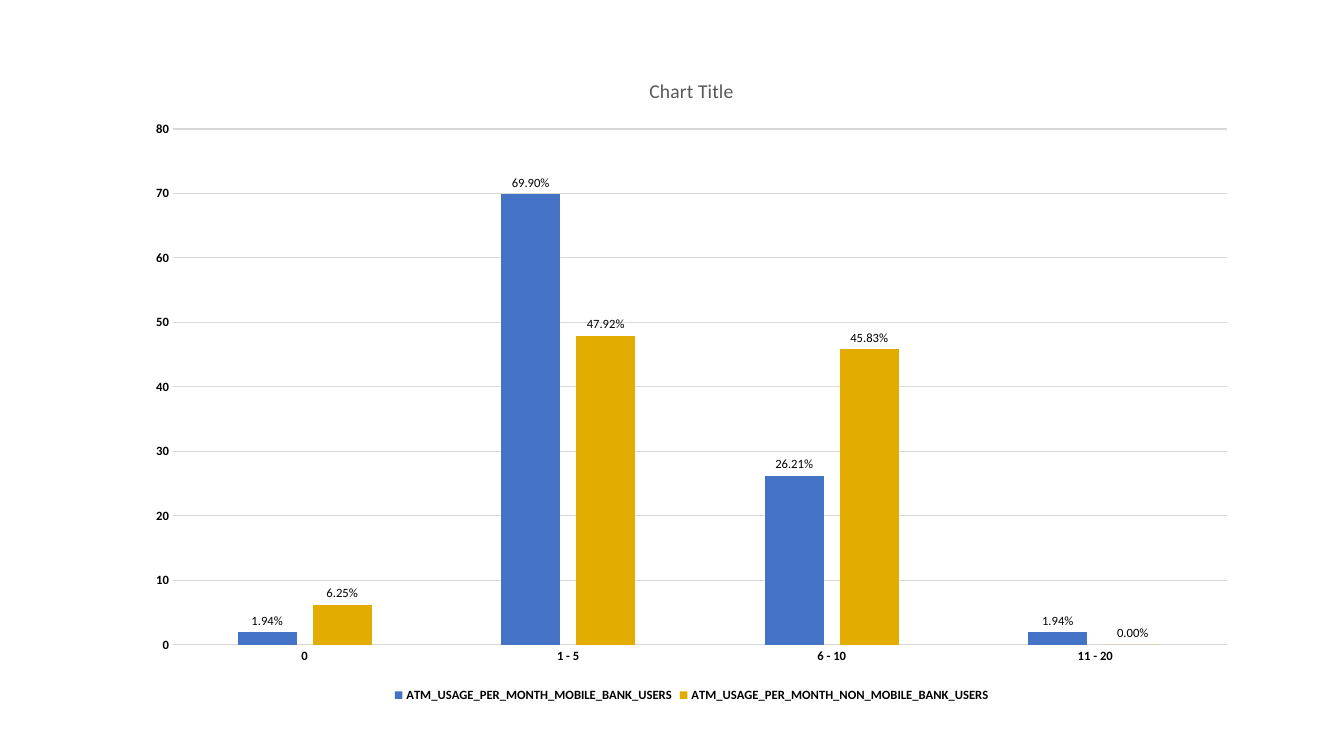
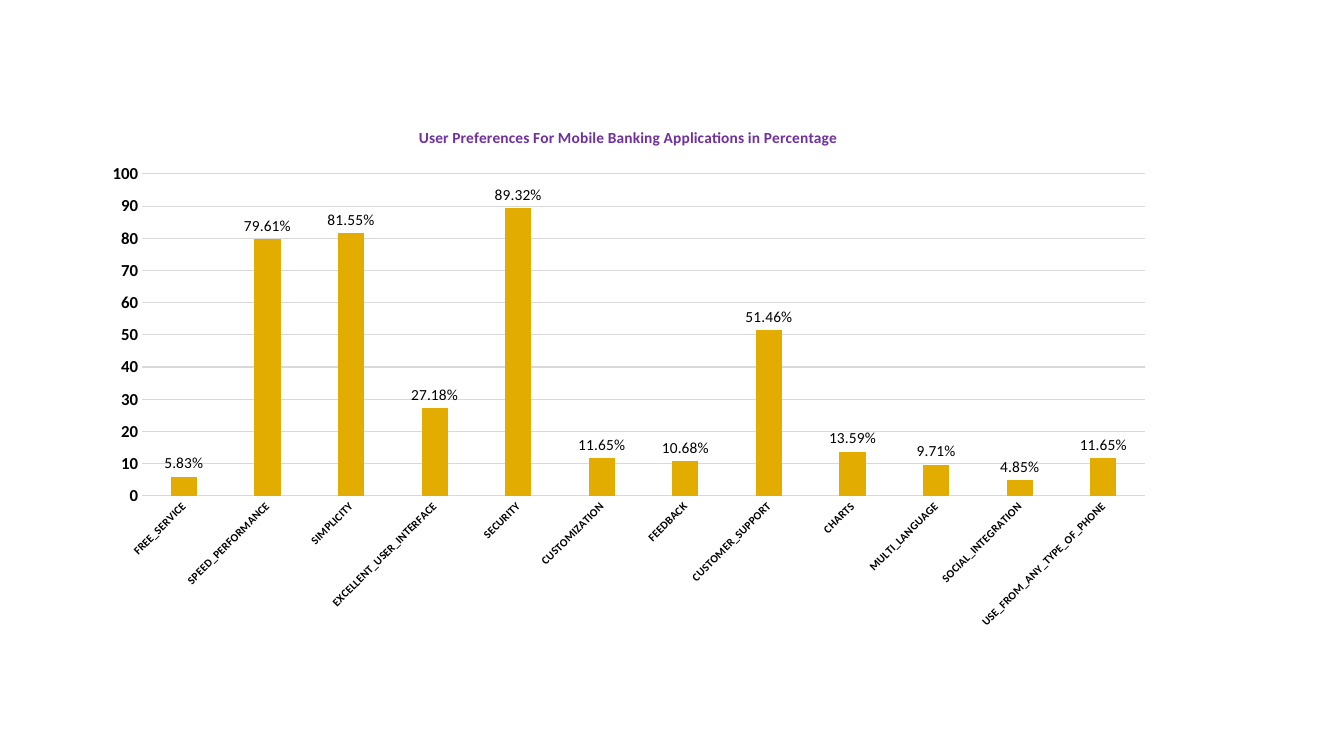
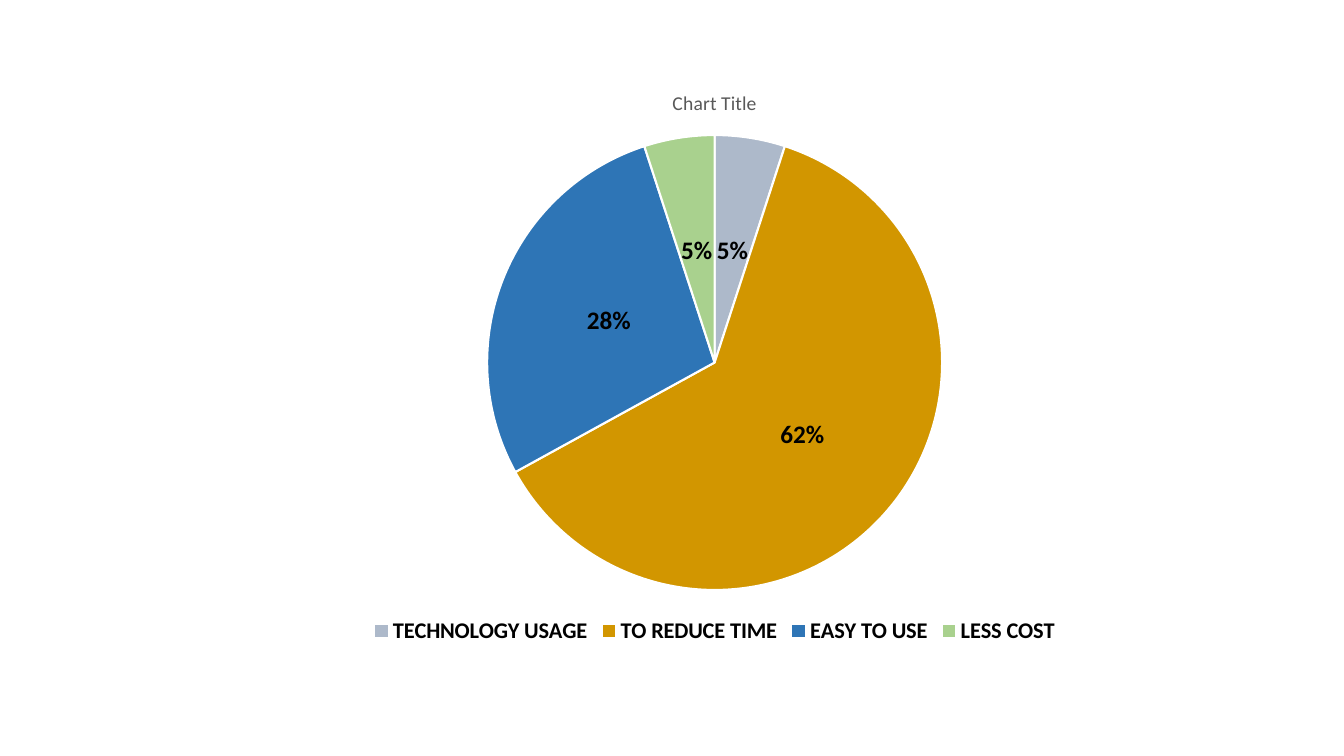
from lxml import etree
from pptx import Presentation
from pptx.chart.data import CategoryChartData
from pptx.dml.color import RGBColor
from pptx.enum.chart import XL_CHART_TYPE, XL_LABEL_POSITION, XL_LEGEND_POSITION, XL_TICK_MARK
from pptx.oxml.ns import qn
from pptx.util import Pt

COLUMNS, PIE = XL_CHART_TYPE.COLUMN_CLUSTERED, XL_CHART_TYPE.PIE
OUTSIDE, CENTER = XL_LABEL_POSITION.OUTSIDE_END, XL_LABEL_POSITION.CENTER
LEGEND_BOTTOM = XL_LEGEND_POSITION.BOTTOM
NO_TICK = XL_TICK_MARK.NONE

FONT = "Calibri"
COLORS = {
    "text": "000000", "title": "595959", "purple": "7030A0", "grid": "D9D9D9",
    "blue": "4472C4", "gold": "E2AC00", "white": "FFFFFF", "grey": "ADB9CA",
    "amber": "D29600", "deep blue": "2E75B6", "green": "A9D18E",
}

ATM_USAGE = {
    "type": COLUMNS, "frame": (95.76, 39.6, 796.32, 465.12), "plot": (123.5, 92.2, 753, 368.5),
    "title": ("Chart Title", 14, "title", False),
    "categories": ["0", "1 - 5", "6 - 10", "11 - 20"],
    "series": [
        ("ATM_USAGE_PER_MONTH_MOBILE_BANK_USERS", [1.94, 69.9, 26.21, 1.94], "blue"),
        ("ATM_USAGE_PER_MONTH_NON_MOBILE_BANK_USERS", [6.25, 47.92, 45.83, 0], "gold"),
    ],
    "labels": (9, False, '0.00"%"', OUTSIDE), "legend": 9,
    "category size": 9, "value size": 9, "maximum": 80, "rotation": 0,
}
PREFERENCES = {
    "type": COLUMNS, "frame": (64.8, 77.04, 768.24, 379.44), "plot": (101.5, 124.2, 716.5, 230),
    "title": ("User Preferences For Mobile Banking Applications in Percentage", 11, "purple", True),
    "categories": [
        "FREE_SERVICE", "SPEED_PERFORMANCE", "SIMPLICITY", "EXCELLENT_USER_INTERFACE",
        "SECURITY", "CUSTOMIZATION", "FEEDBACK", "CUSTOMER_SUPPORT", "CHARTS",
        "MULTI_LANGUAGE", "SOCIAL_INTEGRATION", "USE_FROM_ANY_TYPE_OF_PHONE",
    ],
    "series": [
        ("Series 1", [5.83, 79.61, 81.55, 27.18, 89.32, 11.65,
                      10.68, 51.46, 13.59, 9.71, 4.85, 11.65], "gold"),
    ],
    "labels": (11, False, '0.00"%"', OUTSIDE), "legend": None,
    "category size": 8, "value size": 12, "maximum": 100, "rotation": -45,
}
REASONS = {
    "type": PIE, "frame": (47.52, 48.96, 925.92, 414.72), "plot": (348, 96.5, 325, 325),
    "title": ("Chart Title", 14, "title", False),
    "categories": ["TECHNOLOGY USAGE", "TO REDUCE TIME", "EASY TO USE", "LESS COST"],
    "series": [("Series 1", [5, 62, 28, 5], None)],
    "slices": ["grey", "amber", "deep blue", "green"],
    "labels": (18, True, "0%", CENTER), "legend": 16,
}


def rgb(name):
    return RGBColor.from_string(COLORS[name])


def style_font(font, size, bold=True, color="text"):
    font.name, font.size, font.bold = FONT, Pt(size), bold
    font.color.rgb = rgb(color)


def fill(part, color):
    part.format.fill.solid()
    part.format.fill.fore_color.rgb = rgb(color)


def outline(line, color, width):
    line.color.rgb = rgb(color)
    line.width = Pt(width)


def place_plot(chart, frame, plot):
    area = chart._chartSpace.chart.plotArea
    for old in area.findall(qn("c:layout")):
        area.remove(old)
    layout = etree.Element(qn("c:layout"))
    manual = etree.SubElement(layout, qn("c:manualLayout"))
    left, top, width, height = frame
    settings = {
        "layoutTarget": "inner", "xMode": "edge", "yMode": "edge",
        "x": (plot[0] - left) / width, "y": (plot[1] - top) / height,
        "w": plot[2] / width, "h": plot[3] / height,
    }
    for tag, value in settings.items():
        etree.SubElement(manual, qn("c:" + tag)).set("val", str(value))
    area.insert(0, layout)


def style_axes(chart, content):
    category, value = chart.category_axis, chart.value_axis
    for axis, key in ((category, "category size"), (value, "value size")):
        axis.major_tick_mark = axis.minor_tick_mark = NO_TICK
        style_font(axis.tick_labels.font, content[key])
    outline(category.format.line, "grid", 0.75)
    value.format.line.fill.background()
    value.has_major_gridlines = True
    outline(value.major_gridlines.format.line, "grid", 0.75)
    value.minimum_scale, value.maximum_scale, value.major_unit = 0, content["maximum"], 10
    text_body = category._element.find(qn("c:txPr")).find(qn("a:bodyPr"))
    text_body.set("rot", str(content["rotation"] * 60000))


def draw_chart(slide, content):
    data = CategoryChartData()
    data.categories = content["categories"]
    for name, values, _ in content["series"]:
        data.add_series(name, values)
    frame = content["frame"]
    chart = slide.shapes.add_chart(content["type"], *map(Pt, frame), data).chart
    style_font(chart.font, 10, False)

    chart.has_title = True
    text, size, color, bold = content["title"]
    heading = chart.chart_title.text_frame.paragraphs[0]
    heading.text = text
    style_font(heading.font, size, bold, color)
    chart.chart_title.include_in_layout = False

    chart.has_legend = content["legend"] is not None
    if chart.has_legend:
        chart.legend.position = LEGEND_BOTTOM
        chart.legend.include_in_layout = False
        style_font(chart.legend.font, content["legend"])

    is_pie = content["type"] == PIE
    plot = chart.plots[0]
    plot.vary_by_categories = is_pie
    size, bold, number_format, position = content["labels"]
    for series, (_, _, color) in zip(plot.series, content["series"]):
        labels = series.data_labels
        style_font(labels.font, size, bold)
        labels.number_format, labels.number_format_is_linked = number_format, False
        labels.position = position
        labels.show_value, labels.show_percentage = not is_pie, is_pie
        if color:
            fill(series, color)
            series.invert_if_negative = False
    if is_pie:
        for index, color in enumerate(content["slices"]):
            slice_part = plot.series[0].points[index]
            fill(slice_part, color)
            outline(slice_part.format.line, "white", 1.5)
    else:
        plot.gap_width, plot.overlap = 219, -27
        style_axes(chart, content)
    place_plot(chart, frame, content["plot"])


deck = Presentation()
deck.slide_width, deck.slide_height = Pt(960), Pt(540)
for content in (ATM_USAGE, PREFERENCES, REASONS):
    draw_chart(deck.slides.add_slide(deck.slide_layouts[6]), content)
deck.save("out.pptx")
